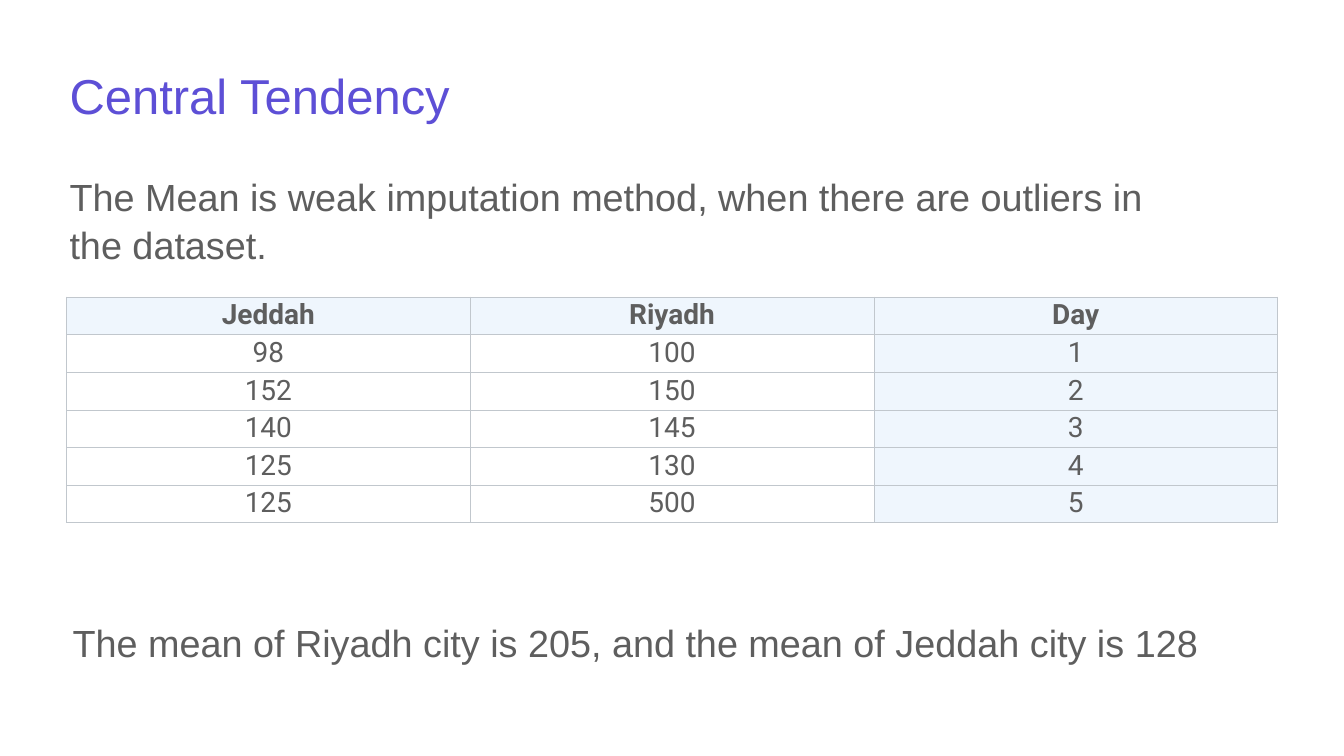
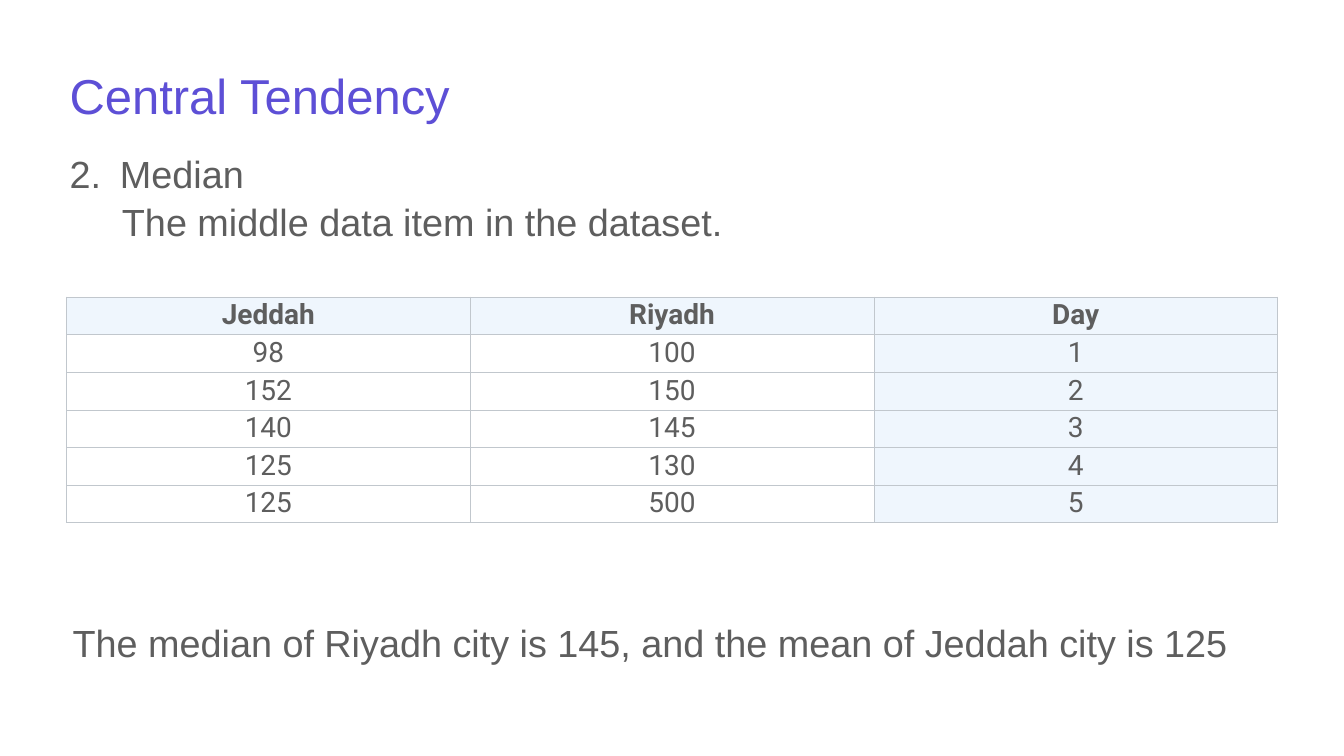
from lxml.etree import SubElement
from pptx import Presentation
from pptx.dml.color import RGBColor
from pptx.enum.text import MSO_ANCHOR as Anchor, PP_ALIGN as Align
from pptx.oxml.ns import qn
from pptx.util import Inches, Pt

PURPLE = RGBColor(0x5D, 0x4F, 0xD6)
GRAY = RGBColor(0x5E, 0x5E, 0x5E)
PALE_BLUE = RGBColor(0xEF, 0xF6, 0xFD)
BORDER = RGBColor(0xC1, 0xC7, 0xCD)

WIDTH, HEIGHT = 26.67, 15
MARGIN = 1.32
CONTENT = WIDTH - 2 * MARGIN
LINE_BOX = 0.13 * HEIGHT
INSET = Inches(0.06)
ROW_HEIGHT = 0.74
TABLE_TOP = 5.89

READINGS = [
    ("Jeddah", "Riyadh", "Day"),
    (98, 100, 1),
    (152, 150, 2),
    (140, 145, 3),
    (125, 130, 4),
    (125, 500, 5),
]


def write(para, text, size=54, font="Arial", color=GRAY, bold=False,
          align=Align.LEFT, spacing=1.0):
    para.alignment = align
    para.line_spacing = spacing
    span = para.add_run()
    span.text = text
    span.font.size = Pt(size)
    span.font.name = font
    span.font.color.rgb = color
    span.font.bold = bold


def indent(para, left, hanging=0, number=None):
    """Indent a paragraph in inches, optionally numbering it from number."""
    props = para._p.get_or_add_pPr()
    props.set("marL", str(Inches(left)))
    props.set("indent", str(Inches(-hanging)))
    if number:
        SubElement(props, qn("a:buFont"), typeface="Arial")
        SubElement(props, qn("a:buAutoNum"), type="arabicPeriod",
                   startAt=str(number))


def add_text(page, lines, left, top, width, height=LINE_BOX, **style):
    """Add a bottom-anchored box with one paragraph per line."""
    box = page.shapes.add_textbox(*map(Inches, (left, top, width, height)))
    frame = box.text_frame
    frame.word_wrap = True
    frame.vertical_anchor = Anchor.BOTTOM
    frame.margin_left = frame.margin_right = INSET
    frame.margin_top = frame.margin_bottom = INSET
    for index, line in enumerate(lines):
        para = frame.add_paragraph() if index else frame.paragraphs[0]
        write(para, line, **style)
    return frame.paragraphs


def add_borders(cell):
    props = cell._tc.get_or_add_tcPr()
    for side in "LRTB":
        line = SubElement(props, qn(f"a:ln{side}"), w=str(Pt(0.6)))
        fill = SubElement(line, qn("a:solidFill"))
        SubElement(fill, qn("a:srgbClr"), val=str(BORDER))


def add_readings_table(page):
    rows, columns = len(READINGS), len(READINGS[0])
    table = page.shapes.add_table(
        rows, columns, Inches(MARGIN), Inches(TABLE_TOP),
        Inches(CONTENT), Inches(rows * ROW_HEIGHT)).table
    table.first_row = table.horz_banding = False
    for row, values in enumerate(READINGS):
        for column, value in enumerate(values):
            cell = table.cell(row, column)
            cell.margin_left = cell.margin_right = Inches(0.07)
            cell.margin_top = cell.margin_bottom = Inches(0.04)
            add_borders(cell)
            if row == 0 or column == columns - 1:
                cell.fill.solid()
                cell.fill.fore_color.rgb = PALE_BLUE
            else:
                cell.fill.background()
            write(cell.text_frame.paragraphs[0], str(value), size=40,
                  font="Roboto", bold=row == 0, align=Align.CENTER)


def add_page(deck, conclusion):
    """Add a page with the shared title, the table and a conclusion."""
    page = deck.slides.add_slide(deck.slide_layouts[6])
    add_text(page, ["Central Tendency"], MARGIN, 0.57, CONTENT,
             size=70, color=PURPLE)
    add_readings_table(page)
    add_text(page, [conclusion], 1.38, 11.31, 23.22)
    return page


def add_mean_page(deck):
    page = add_page(deck, "The mean of Riyadh city is 205, "
                          "and the mean of Jeddah city is 128")
    add_text(page, ["The Mean is weak imputation method, "
                    "when there are outliers in the dataset."],
             MARGIN, 3.41, 21.97, spacing=1.06)


def add_median_page(deck):
    page = add_page(deck, "The median of Riyadh city is 145, "
                          "and the mean of Jeddah city is 125")
    heading, definition = add_text(
        page, ["Median", "The middle data item in the dataset."],
        MARGIN, 2.59, 21.97, 2.32, spacing=1.06)
    indent(heading, 1, hanging=1, number=2)
    indent(definition, 1.04)


def main():
    deck = Presentation()
    deck.slide_width, deck.slide_height = Inches(WIDTH), Inches(HEIGHT)
    add_mean_page(deck)
    add_median_page(deck)
    deck.save("out.pptx")


if __name__ == "__main__":
    main()
